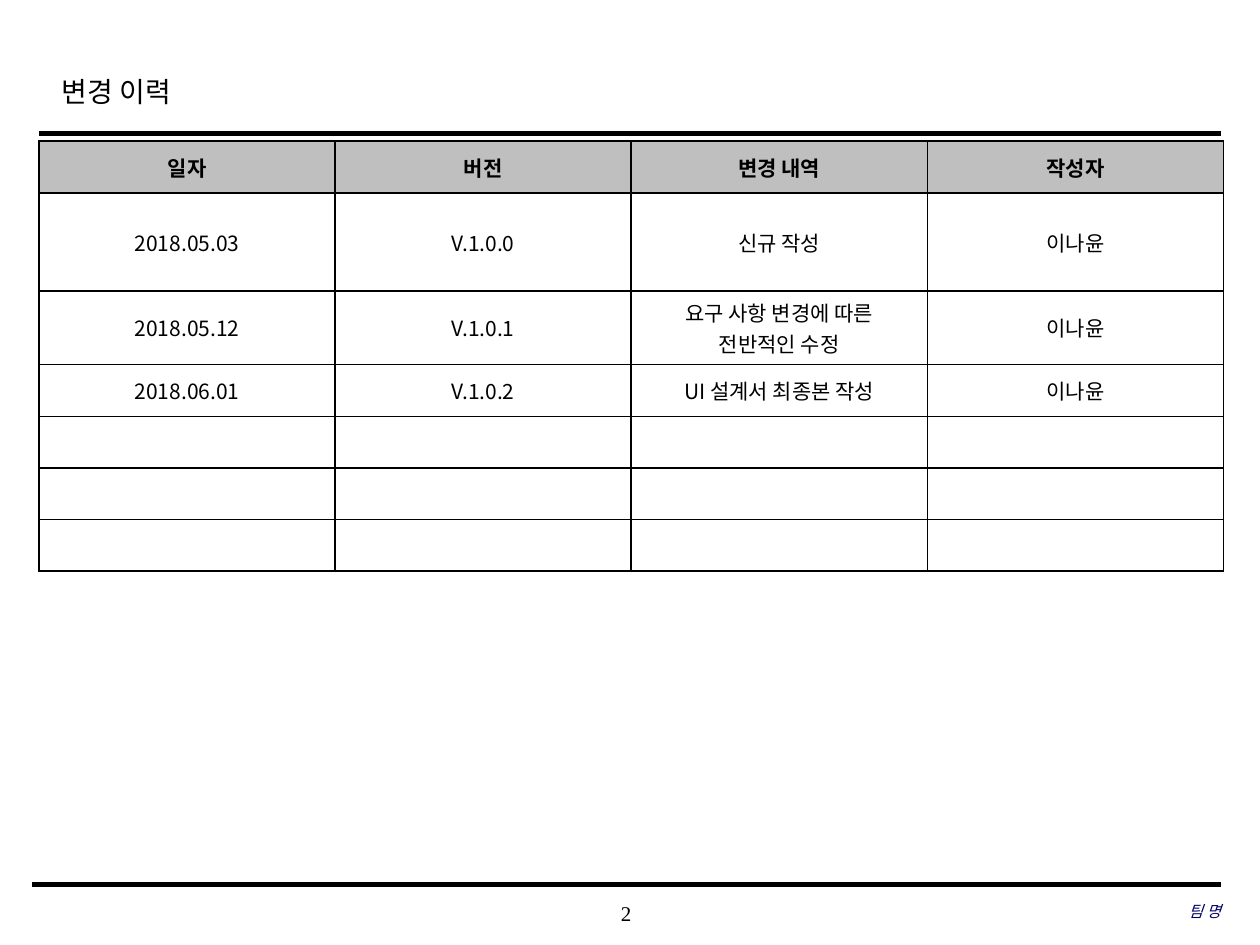
from lxml import etree
from pptx import Presentation
from pptx.dml.color import RGBColor
from pptx.enum.shapes import MSO_CONNECTOR
from pptx.enum.text import MSO_ANCHOR, PP_ALIGN
from pptx.oxml.ns import qn
from pptx.util import Inches, Pt

BLACK = RGBColor(0x00, 0x00, 0x00)
WHITE = RGBColor(0xFF, 0xFF, 0xFF)
GRAY = RGBColor(0xBF, 0xBF, 0xBF)
NAVY = RGBColor(0x00, 0x00, 0x66)
SERIF = "Times New Roman"
KOREAN = "Noto Sans CJK KR"

LEFT, CENTER, RIGHT = PP_ALIGN.LEFT, PP_ALIGN.CENTER, PP_ALIGN.RIGHT
TOP, MIDDLE = MSO_ANCHOR.TOP, MSO_ANCHOR.MIDDLE
STRAIGHT = MSO_CONNECTOR.STRAIGHT

HISTORY = [
    ["일자", "버전", "변경 내역", "작성자"],
    ["2018.05.03", "V.1.0.0", "신규 작성", "이나윤"],
    ["2018.05.12", "V.1.0.1", "요구 사항 변경에 따른\n전반적인 수정", "이나윤"],
    ["2018.06.01", "V.1.0.2", "UI 설계서 최종본 작성", "이나윤"],
] + [[""] * 4 for _ in range(3)]
ROW_HEIGHTS = [0.41, 0.78] + [0.41] * 5
COLUMN_WIDTH = 2.35


def write(frame, text, align, color=BLACK, **formats):
    """Fill a text frame and format every run alike."""
    frame.text = text
    for paragraph in frame.paragraphs:
        paragraph.alignment = align
        for run in paragraph.runs:
            run.font.color.rgb = color
            for name, value in formats.items():
                setattr(run.font, name, value)
            east_asian = etree.SubElement(run.font._element, qn("a:ea"))
            east_asian.set("typeface", KOREAN)
        if not paragraph.runs:
            end = etree.SubElement(paragraph._p, qn("a:endParaRPr"))
            end.set("sz", str(int(formats["size"].pt * 100)))


def add_label(slide, box, text, align, **formats):
    frame = slide.shapes.add_textbox(*map(Inches, box)).text_frame
    frame.word_wrap = True
    frame.vertical_anchor = MIDDLE
    for side in ("left", "top", "right", "bottom"):
        setattr(frame, f"margin_{side}", 0)
    write(frame, text, align, **formats)


def add_rule(slide, left, right, y, width):
    rule = slide.shapes.add_connector(
        STRAIGHT, Inches(left), Inches(y), Inches(right), Inches(y))
    rule.line.color.rgb = BLACK
    rule.line.width = Pt(width)
    etree.SubElement(rule._element.spPr, qn("a:effectLst"))


def set_borders(cell):
    properties = cell._tc.get_or_add_tcPr()
    for position, side in enumerate(("lnL", "lnR", "lnT", "lnB")):
        border = etree.Element(qn(f"a:{side}"), w=str(Pt(1)))
        fill = etree.SubElement(border, qn("a:solidFill"))
        etree.SubElement(fill, qn("a:srgbClr"), val=str(BLACK))
        properties.insert(position, border)


def add_history(slide):
    columns = len(HISTORY[0])
    table = slide.shapes.add_table(
        len(HISTORY), columns, Inches(0.31), Inches(1.12),
        Inches(COLUMN_WIDTH * columns), Inches(sum(ROW_HEIGHTS))).table
    for column in table.columns:
        column.width = Inches(COLUMN_WIDTH)
    for r, (height, texts) in enumerate(zip(ROW_HEIGHTS, HISTORY)):
        table.rows[r].height = Inches(height)
        for c, text in enumerate(texts):
            cell = table.cell(r, c)
            cell.vertical_anchor = MIDDLE
            cell.fill.solid()
            cell.fill.fore_color.rgb = WHITE if r else GRAY
            set_borders(cell)
            write(cell.text_frame, text, CENTER,
                  name=KOREAN, size=Pt(12), bold=r == 0)


def add_title(slide, text):
    title = slide.shapes.title
    place = {"left": 0.39, "top": 0.49, "width": 7.55, "height": 0.5}
    for name, value in place.items():
        setattr(title, name, Inches(value))
    frame = title.text_frame
    frame.vertical_anchor = TOP
    write(frame, text, LEFT, name=SERIF, size=Pt(16))
    frame.paragraphs[0].line_spacing = 1.2


def main():
    deck = Presentation()
    deck.slide_width, deck.slide_height = Inches(10), Inches(7.5)
    slide = deck.slides.add_slide(deck.slide_layouts[5])

    # Heading and rules
    add_title(slide, "변경 이력")
    add_rule(slide, 0.31, 9.69, 1.06, 2.5)
    add_rule(slide, 0.25, 9.69, 7.02, 3)

    # Change history
    add_history(slide)

    # Footer
    add_label(slide, (3.93, 7.08, 2.08, 0.33), "2", CENTER,
              name=SERIF, size=Pt(12))
    add_label(slide, (6.63, 7.07, 3.06, 0.33), "팀 명", RIGHT, color=NAVY,
              name=SERIF, size=Pt(9), italic=True)

    deck.save("out.pptx")


main()
